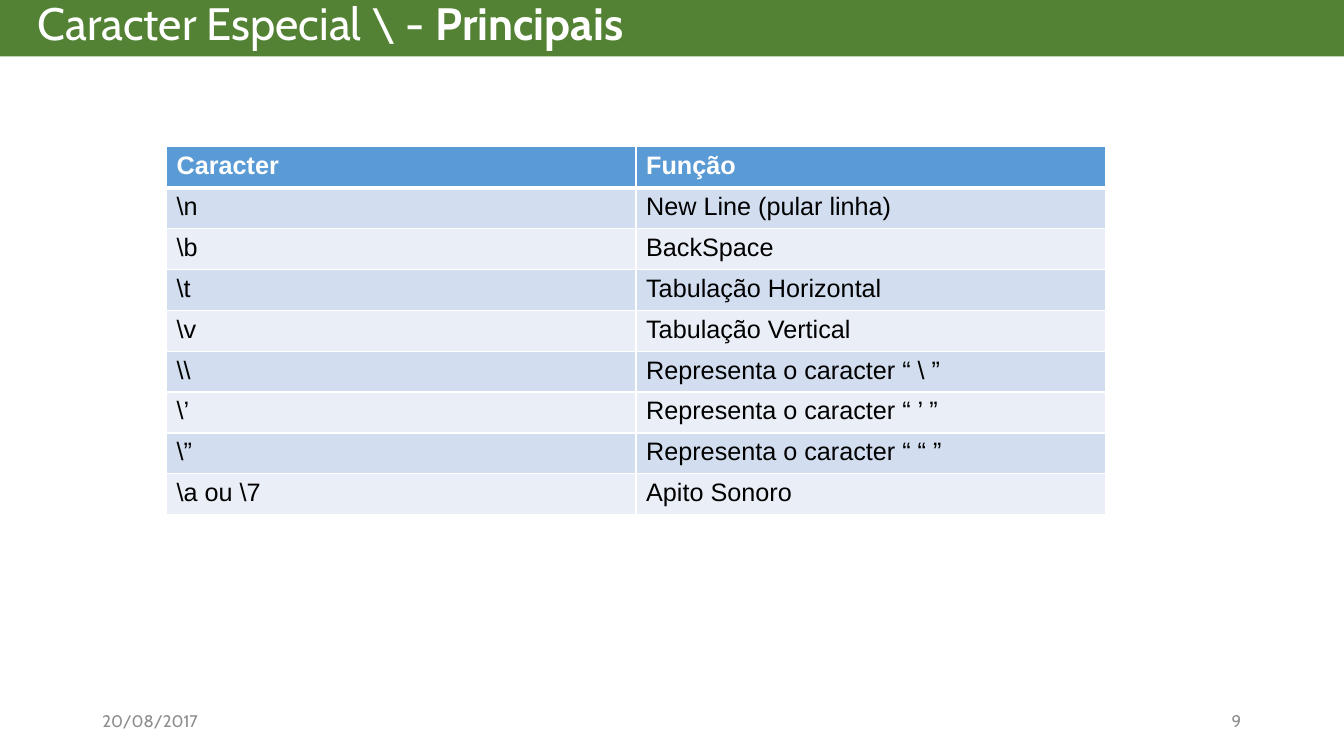
from lxml import etree
from pptx import Presentation
from pptx.dml.color import RGBColor
from pptx.enum import shapes, text
from pptx.oxml import ns
from pptx.util import Cm, Pt

WHITE = RGBColor(0xFF, 0xFF, 0xFF)
BLACK = RGBColor(0, 0, 0)
GREEN = RGBColor(0x54, 0x82, 0x35)
BLUE = RGBColor(0x5B, 0x9B, 0xD5)
PALE = RGBColor(0xD2, 0xDE, 0xEF)
LIGHT = RGBColor(0xEA, 0xEF, 0xF7)
GREY = RGBColor(0x8C, 0x8C, 0x8C)

HEAD = dict(name="Cabin", size=Pt(32.4), bold=False)
FOOT = dict(name="Cabin", size=Pt(12), bold=False)
CELL = dict(name="Arial", size=Pt(18), bold=False)

ROWS = [
    ("Caracter", "Função"),
    (r"\n", "New Line (pular linha)"),
    (r"\b", "BackSpace"),
    (r"\t", "Tabulação Horizontal"),
    (r"\v", "Tabulação Vertical"),
    (r"\\", r"Representa o caracter “ \ ”"),
    (r"\’", "Representa o caracter “ ’ ”"),
    (r"\”", "Representa o caracter “ “ ”"),
    (r"\a ou \7", "Apito Sonoro"),
]


def write(para, words, look, color, **more):
    run = para.add_run()
    run.text = words
    for key, val in {**look, **more}.items():
        setattr(run.font, key, val)
    run.font.color.rgb = color


def place(shape, box):
    for key, val in zip(("left", "top", "width", "height"), box):
        setattr(shape, key, Cm(val))


def header(slide, box):
    # Green band across the top
    x, y, w, h = box
    band = slide.shapes.add_shape(shapes.MSO_SHAPE.RECTANGLE, *map(Cm, box))
    band.shadow.inherit = False
    band.fill.solid()
    band.fill.fore_color.rgb = GREEN
    band.line.fill.background()

    # Title in front of the band
    title = slide.shapes.title
    place(title, (x + 0.69, y, w - 1.41, h - 0.03))
    title.element.getparent().append(title.element)
    frame = title.text_frame
    frame.auto_size = text.MSO_AUTO_SIZE.NONE
    frame.word_wrap = True
    frame.vertical_anchor = text.MSO_ANCHOR.BOTTOM
    para = frame.paragraphs[0]
    para.alignment = text.PP_ALIGN.LEFT
    para.line_spacing = 0.9
    write(para, "Caracter Especial \\ - ", HEAD, WHITE)
    write(para, "Principais", HEAD, WHITE, bold=True)


def border(cell, first):
    props = cell._tc.get_or_add_tcPr()
    for i, side in enumerate("LRTB"):
        wide = Pt(3 if first and side == "B" else 1)
        line = etree.Element(ns.qn("a:ln" + side), w=str(wide))
        fill = etree.SubElement(line, ns.qn("a:solidFill"))
        etree.SubElement(fill, ns.qn("a:srgbClr"), val=str(WHITE))
        props.insert(i, line)


def escapes(slide, box):
    # Table of escape codes with banded rows
    grid = slide.shapes.add_table(len(ROWS), 2, *map(Cm, box)).table
    for r, row in enumerate(ROWS):
        first = r == 0
        back = BLUE if first else (LIGHT, PALE)[r % 2]
        for c, words in enumerate(row):
            cell = grid.cell(r, c)
            cell.fill.solid()
            cell.fill.fore_color.rgb = back
            border(cell, first)
            write(cell.text_frame.paragraphs[0], words, CELL,
                  WHITE if first else BLACK, bold=first)


def footer(slide, box):
    # Date on the left, page number on the right
    x, y, w, h = box
    part = 9.1
    for left, words, side in (
        (x, "20/08/2017", text.PP_ALIGN.LEFT),
        (x + w - part, "9", text.PP_ALIGN.RIGHT),
    ):
        note = slide.shapes.add_textbox(*map(Cm, (left, y, part, h)))
        frame = note.text_frame
        frame.word_wrap = True
        frame.vertical_anchor = text.MSO_ANCHOR.MIDDLE
        frame.paragraphs[0].alignment = side
        write(frame.paragraphs[0], words, FOOT, GREY)


deck = Presentation()
deck.slide_width, deck.slide_height = Cm(33.87), Cm(19.05)
page = deck.slides.add_slide(deck.slide_layouts[5])
header(page, (0, 0, 33.87, 1.42))
escapes(page, (4.2, 3.7, 23.66, 9.27))
footer(page, (2.33, 17.65, 29.2, 1.02))
deck.save("out.pptx")
